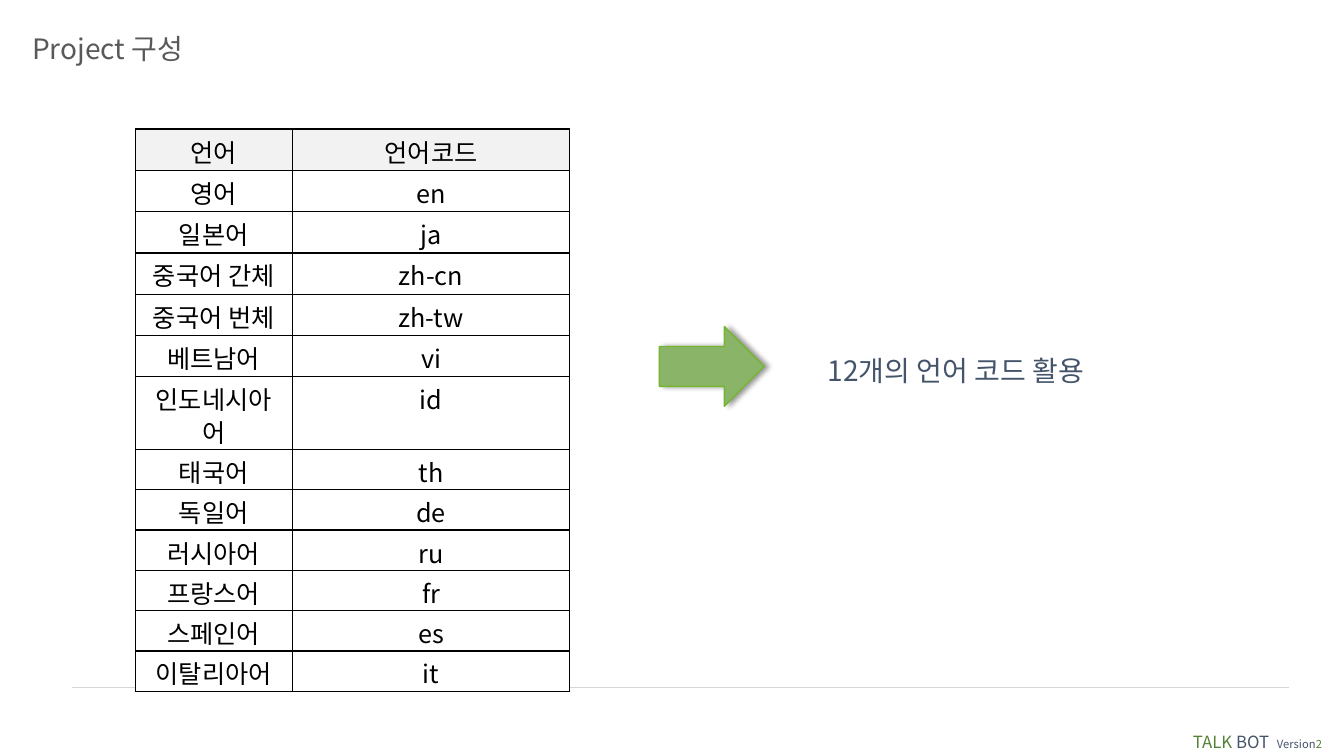
from lxml import etree
from pptx import Presentation
from pptx.dml.color import RGBColor
from pptx.enum.shapes import MSO_CONNECTOR, MSO_SHAPE
from pptx.enum.text import MSO_ANCHOR, MSO_AUTO_SIZE, PP_ALIGN
from pptx.oxml import parse_xml
from pptx.oxml.ns import nsdecls, qn
from pptx.util import Inches, Pt

STRAIGHT = MSO_CONNECTOR.STRAIGHT
RIGHT_ARROW = MSO_SHAPE.RIGHT_ARROW
TOP = MSO_ANCHOR.TOP
GROW = MSO_AUTO_SIZE.SHAPE_TO_FIT_TEXT
LEFT, CENTER, RIGHT = PP_ALIGN.LEFT, PP_ALIGN.CENTER, PP_ALIGN.RIGHT

FONT = "Noto Sans CJK KR"
COLORS = {
    "rule": "D7D7D7", "title": "595959", "navy": "44546A", "green": "548235",
    "black": "000000", "white": "FFFFFF", "header": "F2F2F2",
    "arrow": "8AB468", "arrow_edge": "76B531",
}
LANGUAGES = [
    ("언어", "언어코드"), ("영어", "en"), ("일본어", "ja"),
    ("중국어 간체", "zh-cn"), ("중국어 번체", "zh-tw"), ("베트남어", "vi"),
    ("인도네시아어", "id"), ("태국어", "th"), ("독일어", "de"),
    ("러시아어", "ru"), ("프랑스어", "fr"), ("스페인어", "es"),
    ("이탈리아어", "it"),
]
WRAPPED_ROW = 6


def rgb(name):
    return RGBColor.from_string(COLORS[name])


def add_run(paragraph, text, size=20, color="navy", bold=False):
    run = paragraph.add_run()
    run.text = text
    run.font.name = FONT
    run.font.size = Pt(size)
    run.font.bold = bold
    run.font.color.rgb = rgb(color)
    east_asian = etree.SubElement(run.font._element, qn("a:ea"))
    east_asian.set("typeface", FONT)


def add_borders(cell):
    properties = cell._tc.get_or_add_tcPr()
    for index, side in enumerate(("lnL", "lnR", "lnT", "lnB")):
        properties.insert(index, parse_xml(
            f'<a:{side} {nsdecls("a")} w="12700"><a:solidFill>'
            f'<a:srgbClr val="{COLORS["black"]}"/></a:solidFill></a:{side}>'))


class SlideBuilder:
    def __init__(self, slide):
        self.slide = slide

    def text(self, left, top, width, height, runs, align=LEFT):
        """Add a text box; each run is a text with its format."""
        box = self.slide.shapes.add_textbox(
            Inches(left), Inches(top), Inches(width), Inches(height))
        frame = box.text_frame
        frame.word_wrap = True
        frame.auto_size = GROW
        paragraph = frame.paragraphs[0]
        paragraph.alignment = align
        paragraph.line_spacing = 1.5
        for content, style in runs:
            add_run(paragraph, content, **style)

    def rule(self, left, right, y):
        line = self.slide.shapes.add_connector(
            STRAIGHT, Inches(left), Inches(y), Inches(right), Inches(y))
        line.line.color.rgb = rgb("rule")
        line.line.width = Pt(1)
        etree.SubElement(line._element.spPr, qn("a:effectLst"))

    def arrow(self, left, top, width, height):
        arrow = self.slide.shapes.add_shape(
            RIGHT_ARROW, Inches(left), Inches(top), Inches(width), Inches(height))
        arrow.fill.solid()
        arrow.fill.fore_color.rgb = rgb("arrow")
        arrow.line.color.rgb = rgb("arrow_edge")
        arrow.line.width = Pt(1)
        arrow.shadow.inherit = False
        effects = arrow._element.spPr.find(qn("a:effectLst"))
        effects.append(parse_xml(
            f'<a:outerShdw {nsdecls("a")} blurRad="{Pt(4)}" dist="{Pt(3)}" dir="0">'
            f'<a:srgbClr val="{COLORS["black"]}"><a:alpha val="40000"/></a:srgbClr>'
            '</a:outerShdw>'))

    def table(self, left, top, widths, heights, rows):
        table = self.slide.shapes.add_table(
            len(rows), len(widths), Inches(left), Inches(top),
            Inches(sum(widths)), Inches(sum(heights))).table
        for column, width in zip(table.columns, widths):
            column.width = Inches(width)
        for row_index, (row, height) in enumerate(zip(rows, heights)):
            table.rows[row_index].height = Inches(height)
            for column_index, content in enumerate(row):
                fill = "header" if row_index == 0 else "white"
                self.cell(table.cell(row_index, column_index), content, fill)

    def cell(self, cell, content, fill):
        cell.fill.solid()
        cell.fill.fore_color.rgb = rgb(fill)
        cell.vertical_anchor = TOP
        cell.margin_top = Inches(0.08)
        cell.margin_bottom = 0
        paragraph = cell.text_frame.paragraphs[0]
        paragraph.alignment = CENTER
        paragraph.line_spacing = Pt(23)
        add_run(paragraph, content, size=18, color="black")
        add_borders(cell)


def main():
    deck = Presentation()
    deck.slide_width, deck.slide_height = Inches(13.33), Inches(7.5)
    page = SlideBuilder(deck.slides.add_slide(deck.slide_layouts[6]))

    page.rule(0.71, 12.78, 6.82)
    page.text(11.54, 6.84, 1.67, 0.66, [
        ("TALK", {"size": 12, "color": "green"}),
        (" BOT", {"size": 12}),
        (" ", {"size": 24, "bold": True}),
        ("Version", {"size": 8}),
        ("2", {"size": 8, "color": "green"}),
    ], align=RIGHT)

    row_heights = [0.41] * WRAPPED_ROW + [0.7]
    row_heights += [0.4] * (len(LANGUAGES) - len(row_heights))
    page.table(1.34, 1.28, [1.56, 2.75], row_heights, LANGUAGES)

    page.text(0.22, 0.1, 4.58, 0.56, [("Project 구성", {"color": "title"})])
    page.arrow(6.54, 3.24, 1.04, 0.79)
    page.text(8.11, 3.29, 3.26, 0.61, [("12개의 언어 코드 활용", {})])

    deck.save("out.pptx")


if __name__ == "__main__":
    main()
